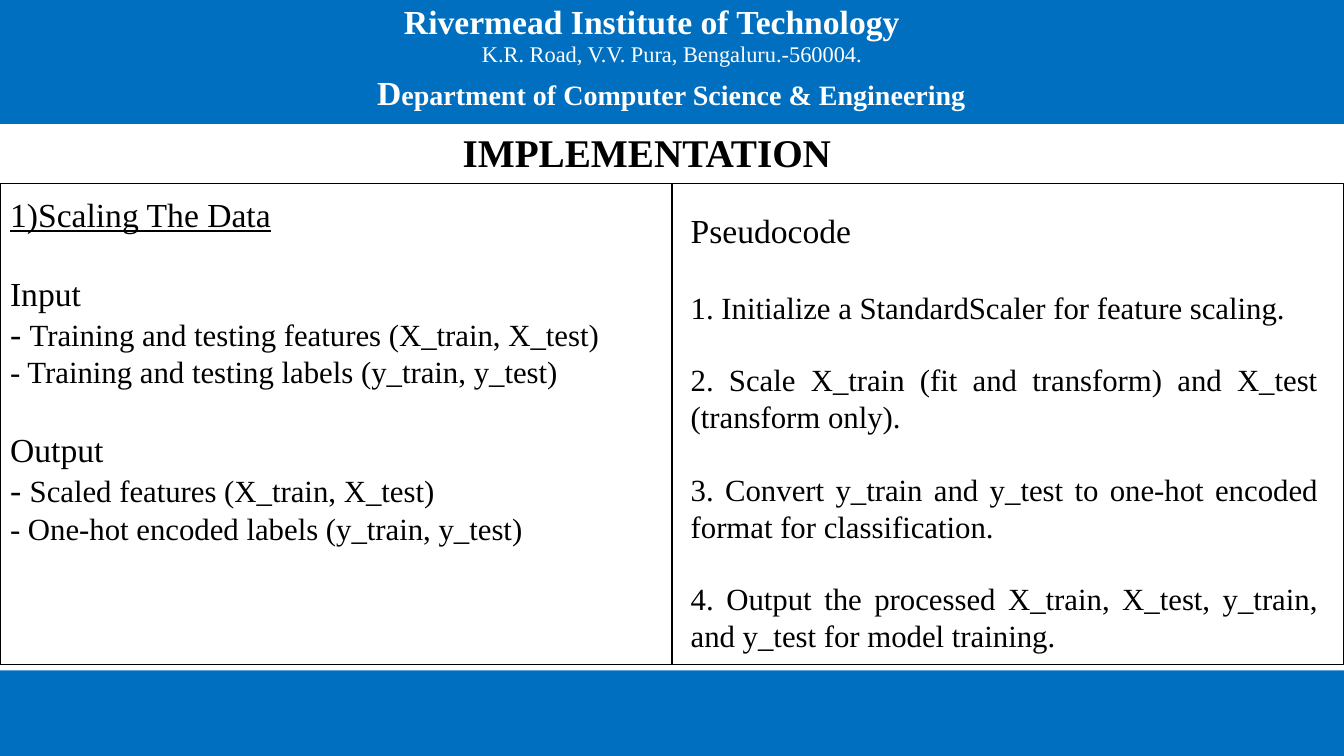
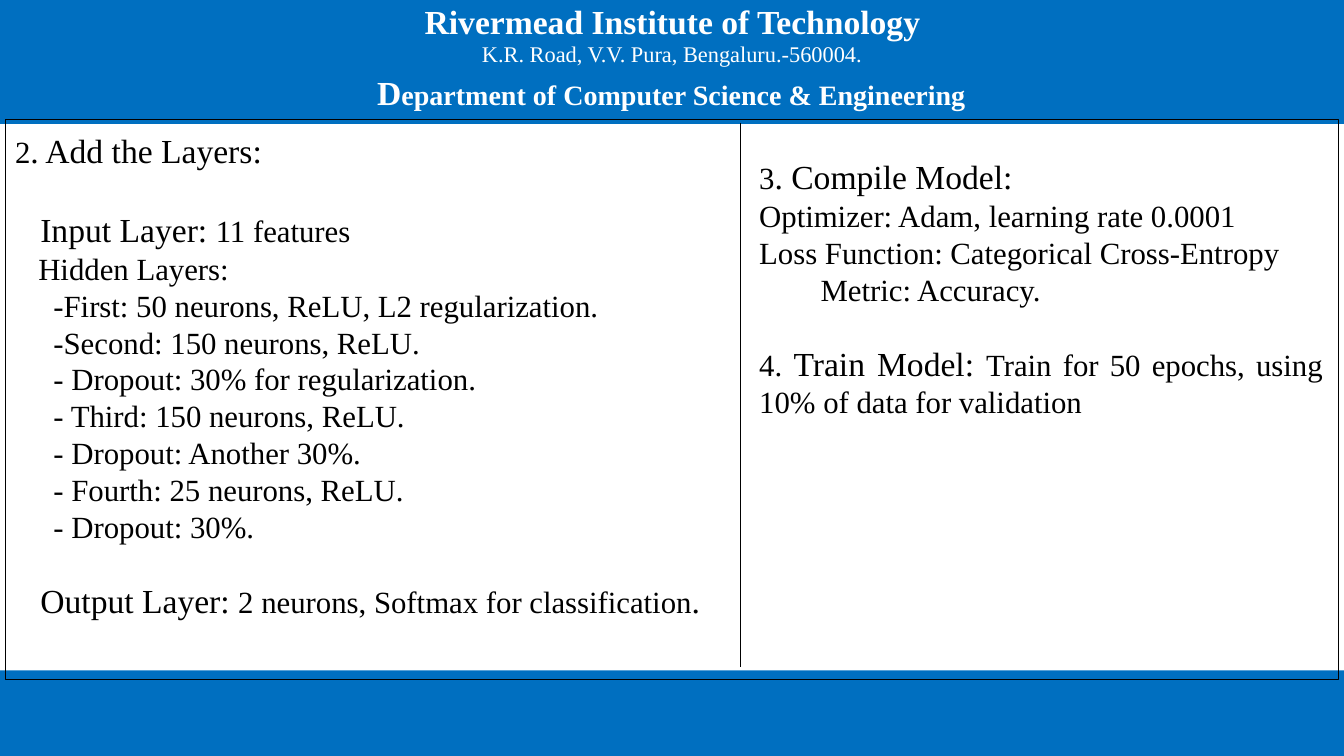
"""Build two implementation slides for a machine learning project."""
from lxml import etree
from pptx import Presentation
from pptx.dml.color import RGBColor
from pptx.enum.shapes import MSO_CONNECTOR, MSO_SHAPE
from pptx.enum.text import MSO_ANCHOR, MSO_AUTO_SIZE, PP_ALIGN
from pptx.oxml.ns import qn
from pptx.util import Inches, Pt

STRAIGHT = MSO_CONNECTOR.STRAIGHT
RECTANGLE = MSO_SHAPE.RECTANGLE
TOP, MIDDLE = MSO_ANCHOR.TOP, MSO_ANCHOR.MIDDLE
NO_AUTOFIT = MSO_AUTO_SIZE.NONE
LEFT, CENTER, JUSTIFY = PP_ALIGN.LEFT, PP_ALIGN.CENTER, PP_ALIGN.JUSTIFY

BLUE = RGBColor(0x00, 0x6F, 0xC0)
WHITE = RGBColor(0xFF, 0xFF, 0xFF)
BLACK = RGBColor(0x00, 0x00, 0x00)

FONT = "Times New Roman"
SLIDE_W, SLIDE_H = 13.33, 7.5
HEADER_H, FOOTER_H = 1.23, 0.85
HEADING, DETAIL = 24, 22
HEADING_GAP, DETAIL_GAP = 27.6, 25.3
TWO_CONTENT = 3

INSTITUTE = "Rivermead Institute of Technology"
ADDRESS = "K.R. Road, V.V. Pura, Bengaluru.-560004."


def set_format(target, values):
    """Set every attribute named in values on target."""
    for name, value in values.items():
        setattr(target, name, value)


def place(shape, left, top, width, height):
    """Move and size a shape, in inches."""
    box = {"left": left, "top": top, "width": width, "height": height}
    set_format(shape, {name: Inches(value) for name, value in box.items()})


def line(*runs, gap=0, indent=0, spacing=1.0, **font):
    """Describe one paragraph made of (text, size) runs."""
    return {"runs": runs, "gap": gap, "indent": indent,
            "spacing": spacing, "font": font}


def heading(text, **options):
    """Describe a paragraph in heading size."""
    return line((text, HEADING), **options)


def detail(text, **options):
    """Describe a paragraph in detail size."""
    return line((text, DETAIL), **options)


def write(shape, lines, color=BLACK, align=JUSTIFY, anchor=TOP, inset=(0.1, 0.1)):
    """Fill a shape with unbulleted paragraphs."""
    side, edge = (Inches(value) for value in inset)
    frame = shape.text_frame
    set_format(frame, {"word_wrap": True, "auto_size": NO_AUTOFIT,
                       "vertical_anchor": anchor,
                       "margin_left": side, "margin_right": side,
                       "margin_top": edge, "margin_bottom": edge})
    for index, content in enumerate(lines):
        paragraph = frame.add_paragraph() if index else frame.paragraphs[0]
        set_format(paragraph, {"alignment": align,
                               "line_spacing": content["spacing"],
                               "space_before": Pt(content["gap"]),
                               "space_after": Pt(0)})
        properties = paragraph._p.get_or_add_pPr()
        properties.set("marL", str(Inches(content["indent"])))
        properties.set("indent", "0")
        etree.SubElement(properties, qn("a:buNone"))
        for text, size in content["runs"]:
            run = paragraph.add_run()
            run.text = text
            set_format(run.font, {"name": FONT, "size": Pt(size), **content["font"]})
            run.font.color.rgb = color


def add_textbox(slide, box, lines, **options):
    """Add a text box holding the given paragraphs."""
    textbox = slide.shapes.add_textbox(*map(Inches, box))
    write(textbox, lines, **options)


def add_bands(slide):
    """Put the header and footer bands on the slide's layout."""
    layout = slide.slide_layout
    bands = ((0, HEADER_H), (SLIDE_H - FOOTER_H, FOOTER_H))
    for number, (top, height) in enumerate(bands, 101):
        band = slide.shapes.add_shape(
            RECTANGLE, 0, Inches(top), Inches(SLIDE_W), Inches(height))
        band.shadow.inherit = False
        band.fill.solid()
        band.fill.fore_color.rgb = BLUE
        band.line.fill.background()
        band.element.nvSpPr.cNvPr.set("id", str(number))
        layout.shapes.element.append(band.element)


def add_header(slide, left, width):
    """Write the institute, address and department."""
    title = slide.shapes.title
    place(title, left, 0, width, 0.42)
    write(title, [line((INSTITUTE, 24), bold=True)],
          color=WHITE, align=CENTER, inset=(0, 0.01))
    department = (("D", 24), ("epartment of Computer Science & Engineering", 20))
    add_textbox(slide, (3.74, 0.37, 5.85, 0.7),
                [line((ADDRESS, 16), indent=1.04, spacing=1.06),
                 line(*department, spacing=1.12, bold=True)],
                color=WHITE, align=LEFT, inset=(0, 0.01))


def add_columns(slide, frame_box, frame_lines, column_box, column_lines):
    """Fill the outlined frame and the column on its right."""
    frame, column = list(slide.placeholders)[1:]
    place(frame, *frame_box)
    frame.line.color.rgb = BLACK
    frame.line.width = Pt(0.75)
    write(frame, frame_lines)
    place(column, *column_box)
    write(column, column_lines)
    return frame


def add_divider(slide, x, top, bottom):
    """Add a thin vertical line between the columns."""
    divider = slide.shapes.add_connector(
        STRAIGHT, Inches(x), Inches(top), Inches(x), Inches(bottom))
    divider.line.color.rgb = BLACK
    divider.line.width = Pt(0.75)
    etree.SubElement(divider.element.spPr, qn("a:effectLst"))
    return divider


def build_scaling(slide):
    """Build the slide on scaling the data."""
    add_header(slide, 3.54, 5.85)
    add_textbox(slide, (0.83, 1.29, 11.17, 0.43),
                [line(("IMPLEMENTATION", 28), bold=True)],
                align=CENTER, anchor=MIDDLE, inset=(0.1, 0.05))
    data = [
        heading("1)Scaling The Data", underline=True),
        heading("Input", gap=HEADING_GAP),
        line(("- ", HEADING),
             ("Training and testing features (X_train, X_test)", DETAIL)),
        detail("- Training and testing labels (y_train, y_test)"),
        heading("Output", gap=HEADING_GAP),
        line(("- ", HEADING), ("Scaled features (X_train, X_test)", DETAIL)),
        detail("- One-hot encoded labels (y_train, y_test)"),
    ]
    steps = (
        "1. Initialize a StandardScaler for feature scaling.",
        "2. Scale X_train (fit and transform) and X_test (transform only).",
        "3. Convert y_train and y_test to one-hot encoded format for classification.",
        "4. Output the processed X_train, X_test, y_train, and y_test for model training.",
    )
    pseudocode = [heading("Pseudocode")]
    pseudocode += [detail(step, gap=DETAIL_GAP if index else HEADING_GAP)
                   for index, step in enumerate(steps)]
    top, height = 1.82, 4.77
    frame = add_columns(slide, (0, top, SLIDE_W, height), data,
                        (6.75, 1.98, 6.42, 4.54), pseudocode)
    divider = add_divider(slide, SLIDE_W / 2, top, top + height)
    divider.begin_connect(frame, 0)
    divider.end_connect(frame, 2)


def build_model(slide):
    """Build the slide on the layers, compilation and training."""
    add_header(slide, 3.86, 5.62)
    hidden_layers = (
        "-First: 50 neurons, ReLU, L2 regularization.",
        "-Second: 150 neurons, ReLU.",
        "- Dropout: 30% for regularization.",
        "- Third: 150 neurons, ReLU.",
        "- Dropout: Another 30%.",
        "- Fourth: 25 neurons, ReLU.",
        "- Dropout: 30%.",
    )
    layers = [
        line(("2", DETAIL), (". Add the Layers:", HEADING)),
        line(("Input Layer: ", HEADING), ("11 features", DETAIL),
             gap=HEADING_GAP, indent=0.25),
        detail("Hidden Layers:", indent=0.23),
        *(detail(layer, indent=0.38) for layer in hidden_layers),
        line(("Output Layer: ", HEADING),
             ("2 neurons, Softmax for classification", DETAIL), (".", HEADING),
             gap=DETAIL_GAP, indent=0.25),
    ]
    training = [
        line(("3", DETAIL), (". Compile Model:", HEADING)),
        detail("Optimizer: Adam, learning rate 0.0001"),
        detail("Loss Function: Categorical Cross-Entropy"),
        detail("Metric: Accuracy.", indent=0.61),
        line(("4. ", DETAIL), ("Train Model: ", HEADING),
             ("Train for 50 epochs, using 10% of data for validation", DETAIL),
             gap=DETAIL_GAP),
    ]
    add_columns(slide, (0.05, 1.19, 13.23, 5.55), layers,
                (7.43, 1.45, 5.79, 5.15), training)
    add_divider(slide, 7.34, 1.22, 6.62)


def main():
    """Build and save the presentation."""
    presentation = Presentation()
    set_format(presentation, {"slide_width": Inches(SLIDE_W),
                              "slide_height": Inches(SLIDE_H)})
    layout = presentation.slide_layouts[TWO_CONTENT]
    scaling, model = (presentation.slides.add_slide(layout) for _ in range(2))
    add_bands(scaling)
    build_scaling(scaling)
    build_model(model)
    presentation.save("out.pptx")


if __name__ == "__main__":
    main()
